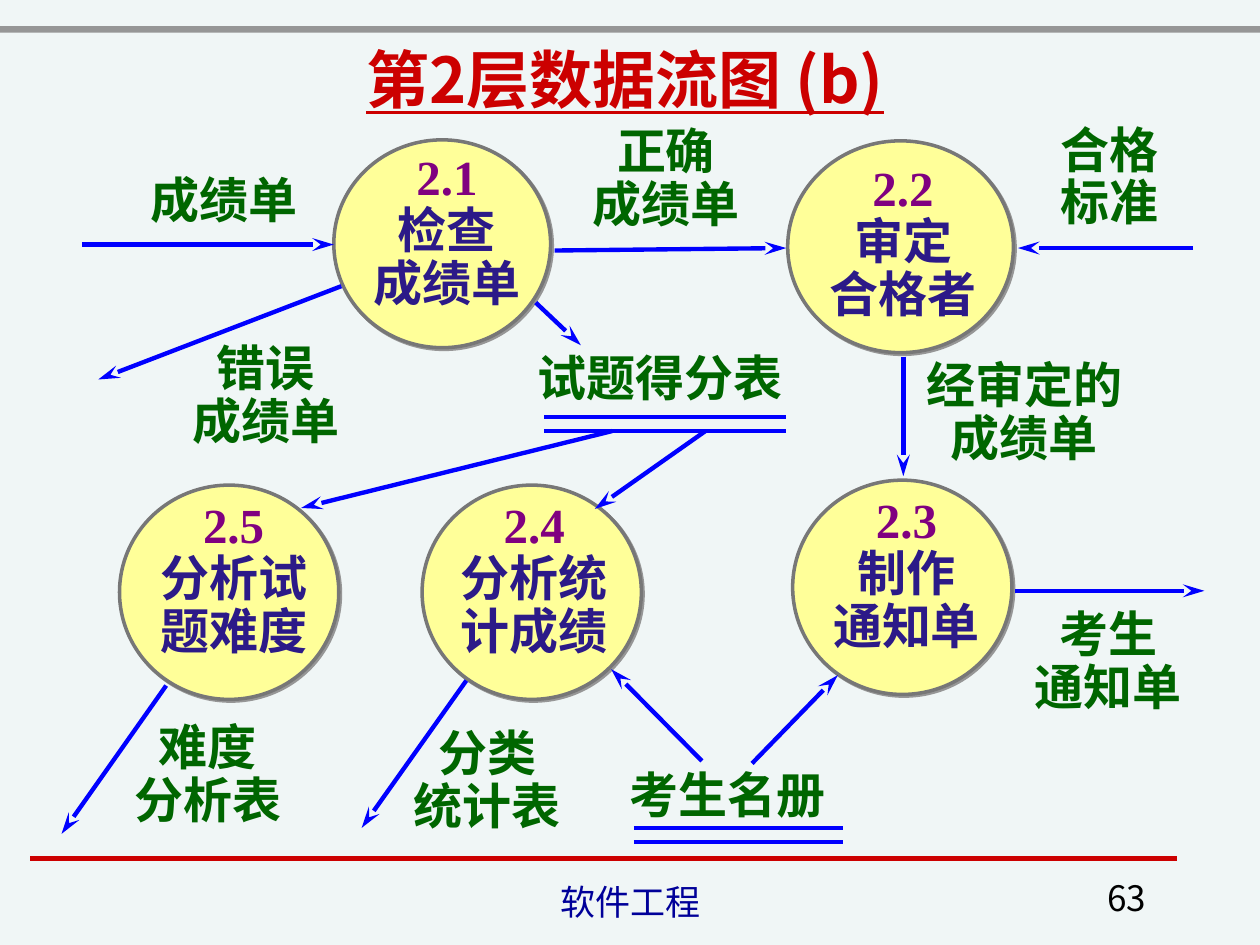
"""Build the level 2 data flow diagram (b) slide for a score processing system."""
import lxml.etree
import pptx
import pptx.dml.color
import pptx.enum.shapes
import pptx.enum.text
import pptx.oxml
import pptx.oxml.ns
import pptx.util

Cm = pptx.util.Cm
Pt = pptx.util.Pt
ALIGN = pptx.enum.text.PP_ALIGN
ANCHOR = pptx.enum.text.MSO_ANCHOR
SHAPE = pptx.enum.shapes.MSO_SHAPE

COLORS = {
    "background": "F0F6F6", "bar": "969696", "red": "CC0000", "flow": "0000FF",
    "circle": "FFFF99", "outline": "777777", "number": "800080",
    "process": "2C1A88", "label": "006600", "footer": "000099", "page": "000000",
}
CJK_FONT = "Noto Sans CJK SC"
DIAGRAM_FONT = {"name": "Times New Roman", "size": Pt(28), "bold": True}
TITLE_FONT = {"name": "Noto Sans CJK JP", "size": Pt(36), "bold": True, "underline": True}
FOOTER_FONT = {"name": "Arial Narrow", "size": Pt(20)}
PAGE_FONT = {"name": CJK_FONT, "size": Pt(20)}

PROCESSES = [
    (["2.1", "检查", "成绩单"], (6.73, 2.82, 4.37, 4.19), (7.04, 2.97, 3.94)),
    (["2.2", "审定", "合格者"], (15.88, 2.84, 4.55, 4.27), (16.21, 3.18, 3.99)),
    (["2.3", "制作", "通知单"], (15.98, 9.68, 4.42, 4.32), (16.28, 9.88, 3.99)),
    (["2.4", "分析统", "计成绩"], (8.51, 9.78, 4.42, 4.32), (8.89, 9.98, 3.76)),
    (["2.5", "分析试", "题难度"], (2.41, 9.78, 4.42, 4.32), (2.74, 9.98, 3.94)),
]
LABELS = [
    (["成绩单"], (2.11, 3.3, 4.8), ALIGN.CENTER),
    (["正确", "成绩单"], (11.23, 2.44, 4.39), ALIGN.CENTER),
    (["合格", "标准"], (21.13, 2.41, 2.77), ALIGN.LEFT),
    (["错误", "成绩单"], (3.33, 6.81, 4.06), ALIGN.CENTER),
    (["试题得分表"], (10.59, 6.88, 5.97), ALIGN.LEFT),
    (["经审定的", "成绩单"], (17.83, 7.16, 5.64), ALIGN.CENTER),
    (["考生", "通知单"], (20.22, 12.17, 4.24), ALIGN.CENTER),
    (["难度", "分析表"], (2.18, 14.45, 4.01), ALIGN.CENTER),
    (["分类", "统计表"], (7.82, 14.58, 4.01), ALIGN.CENTER),
    (["考生名册"], (12.45, 15.29, 4.47), ALIGN.LEFT),
]
FLOWS = [
    (1.65, 4.93, 6.73, 4.93),
    (11.18, 5.05, 15.85, 5.0),
    (24.05, 5.0, 20.52, 5.0),
    (6.88, 5.77, 1.98, 7.65),
    (10.8, 6.1, 11.71, 6.96),
    (18.21, 7.19, 18.21, 9.6),
    (12.34, 8.69, 6.07, 10.24),
    (14.22, 8.69, 11.99, 10.26),
    (20.47, 11.91, 24.28, 11.91),
    (3.35, 13.82, 1.24, 16.81),
    (9.4, 13.72, 7.29, 16.69),
    (14.15, 15.34, 12.32, 13.49),
    (15.16, 15.39, 16.89, 13.61),
]
STORES = [(10.97, 15.85, 8.41), (12.78, 16.99, 16.69)]
STORE_GAP = 0.28
TEXT_HEIGHTS = {1: 1.45, 2: 2.39, 3: 3.45}


def color(name):
    return pptx.dml.color.RGBColor.from_string(COLORS[name])


def add_element(parent, tag, **attributes):
    return lxml.etree.SubElement(parent, pptx.oxml.ns.qn(tag), attributes)


def add_line(slide, ends, color_name="flow", width=2.5, arrow=False):
    line = slide.shapes.add_connector(
        pptx.enum.shapes.MSO_CONNECTOR.STRAIGHT, *map(Cm, ends))
    line.line.color.rgb = color(color_name)
    line.line.width = Pt(width)
    if arrow:
        add_element(line.line._get_or_add_ln(), "a:tailEnd", type="stealth", w="med", len="lg")
    add_element(line._element.spPr, "a:effectLst")


def add_shape(slide, kind, box, fill):
    shape = slide.shapes.add_shape(kind, *map(Cm, box))
    shape.shadow.inherit = False
    shape.fill.solid()
    shape.fill.fore_color.rgb = color(fill)
    shape.line.fill.background()
    return shape


def add_circle(slide, box):
    circle = add_shape(slide, SHAPE.OVAL, box, "circle")
    circle.line.color.rgb = color("outline")
    circle.line.width = Pt(2)
    effects = circle._element.spPr.find(pptx.oxml.ns.qn("a:effectLst"))
    shadow = add_element(effects, "a:outerShdw", dist=str(Pt(1.4)), dir="2700000",
                         algn="ctr", rotWithShape="0")
    add_element(shadow, "a:srgbClr", val=COLORS["bar"])


def add_text(slide, lines, box, colors, font, align=ALIGN.CENTER, anchor=ANCHOR.TOP):
    shape = slide.shapes.add_textbox(*map(Cm, box))
    frame = shape.text_frame
    frame.word_wrap = True
    frame.vertical_anchor = anchor
    frame.text = "\n".join(lines)
    for paragraph, color_name in zip(frame.paragraphs, colors):
        paragraph.alignment = align
        if len(lines) > 1:
            paragraph.line_spacing = 0.9
        run = paragraph.runs[0]
        for attribute, value in font.items():
            setattr(run.font, attribute, value)
        run.font.color.rgb = color(color_name)
        add_element(run.font._element, "a:ea", typeface=CJK_FONT)


def main():
    presentation = pptx.Presentation()
    presentation.slide_width, presentation.slide_height = Cm(25.4), Cm(19.05)
    slide = presentation.slides.add_slide(presentation.slide_layouts[6])
    slide.background.fill.solid()
    slide.background.fill.fore_color.rgb = color("background")

    add_shape(slide, SHAPE.RECTANGLE, (0, 0.53, 25.4, 0.13), "bar")
    add_line(slide, (0.61, 17.3, 23.72, 17.3), "red", 3)
    add_text(slide, ["第2层数据流图 (b)"], (4.98, 0.69, 15.24, 1.78), ["red"], TITLE_FONT)

    for lines, circle_box, text_box in PROCESSES:
        add_circle(slide, circle_box)
        add_text(slide, lines, (*text_box, TEXT_HEIGHTS[len(lines)]),
                 ["number", "process", "process"], DIAGRAM_FONT)
    for flow in FLOWS:
        add_line(slide, flow, arrow=True)
    for left, right, top in STORES:
        for y in (top, top + STORE_GAP):
            add_line(slide, (left, y, right, y))
    for lines, box, align in LABELS:
        add_text(slide, lines, (*box, TEXT_HEIGHTS[len(lines)]),
                 ["label"] * len(lines), DIAGRAM_FONT, align)

    add_text(slide, ["软件工程"], (8.69, 17.73, 8.05, 0.99), ["footer"], FOOTER_FONT,
             anchor=ANCHOR.BOTTOM)
    add_text(slide, ["63"], (18.08, 17.68, 5.28, 0.97), ["page"], PAGE_FONT,
             ALIGN.RIGHT, ANCHOR.BOTTOM)
    presentation.save("out.pptx")


if __name__ == "__main__":
    main()
